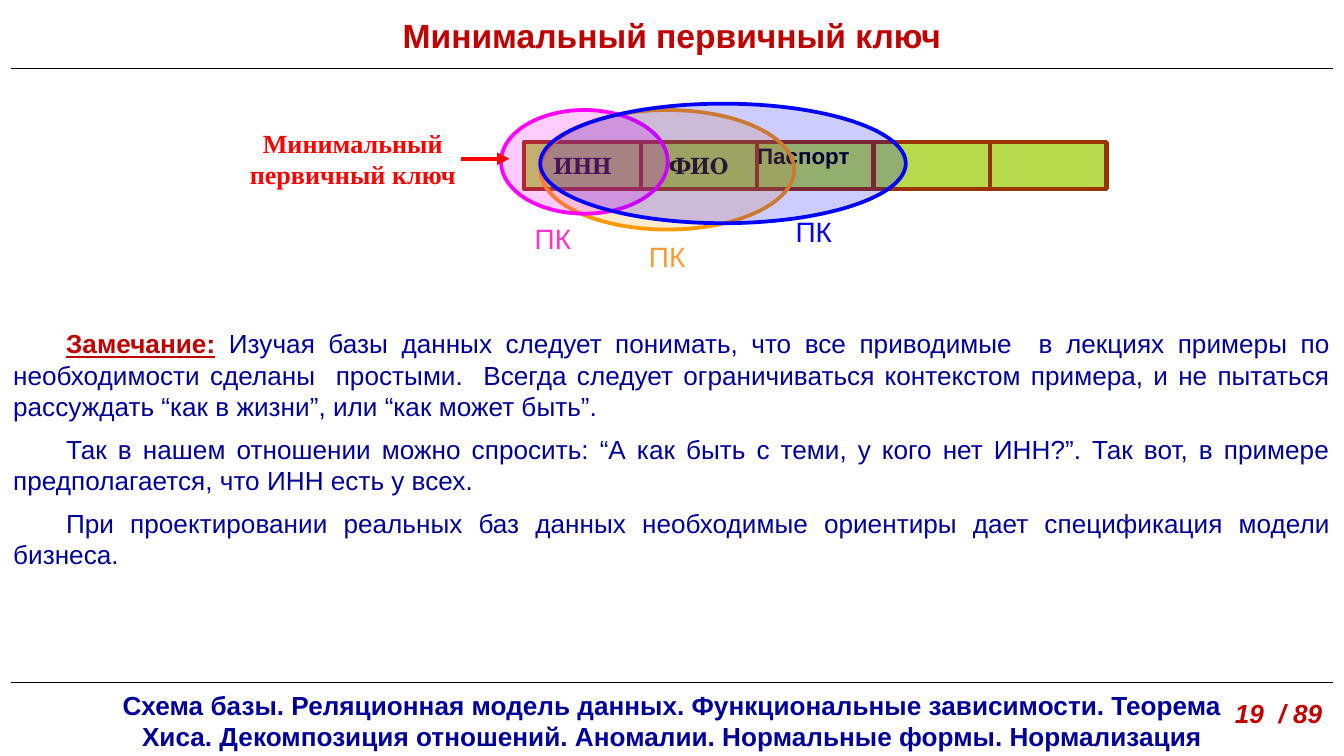
import pptx
import pptx.dml.color
import pptx.enum.shapes
import pptx.enum.text
import pptx.oxml
import pptx.oxml.ns
import pptx.util
from pptx.util import Cm

RGBColor = pptx.dml.color.RGBColor
Align = pptx.enum.text.PP_ALIGN
Anchor = pptx.enum.text.MSO_ANCHOR
Preset = pptx.enum.shapes.MSO_SHAPE

BLACK = RGBColor(0x00, 0x00, 0x00)
NAVY = RGBColor(0x00, 0x00, 0x99)
CRIMSON = RGBColor(0xC0, 0x00, 0x00)
RED = RGBColor(0xFF, 0x00, 0x00)
LIME = RGBColor(0x99, 0xCC, 0x00)
BROWN = RGBColor(0x99, 0x33, 0x00)
ORANGE = RGBColor(0xFF, 0x99, 0x00)
LIGHT_ORANGE = RGBColor(0xFF, 0x99, 0x33)
MAGENTA = RGBColor(0xFF, 0x00, 0xFF)
PINK = RGBColor(0xFF, 0x33, 0xCC)
BLUE = RGBColor(0x00, 0x00, 0xFF)


class SlideBuilder:
    """Draws styled elements on one slide, with lengths in centimetres."""

    def __init__(self, page, font="Arial", size=14):
        self.page = page
        self.font = font
        self.size = size

    def fill_text(self, shape, paragraphs, color, size=None, font=None, bold=False,
                  italic=False, align=Align.LEFT, anchor=Anchor.TOP, inset=True):
        frame = shape.text_frame
        frame.word_wrap = True
        frame.vertical_anchor = anchor
        if not inset:
            frame.margin_left = frame.margin_right = 0
            frame.margin_top = frame.margin_bottom = 0
        for index, words in enumerate(paragraphs):
            para = frame.paragraphs[0] if index == 0 else frame.add_paragraph()
            para.alignment = align
            para.font.name = font or self.font
            para.font.size = pptx.util.Pt(size or self.size)
            para.font.bold = bold
            para.font.italic = italic
            para.font.color.rgb = color
            para.add_run().text = words
        return frame

    def text(self, left, top, width, height, words, color, **style):
        box = self.page.shapes.add_textbox(Cm(left), Cm(top), Cm(width), Cm(height))
        return self.fill_text(box, [words], color, **style)

    def body(self, left, top, width, height, lead, paragraphs):
        box = self.page.shapes.add_textbox(Cm(left), Cm(top), Cm(width), Cm(height))
        frame = self.fill_text(box, paragraphs, NAVY, align=Align.JUSTIFY)
        for para in frame.paragraphs:
            para.space_after = pptx.util.Pt(6)
            para._p.get_or_add_pPr().set("indent", str(int(Cm(1))))
        first = frame.paragraphs[0]
        span = first.runs[0]
        rest = span.text
        span.text = lead
        span.font.bold = span.font.underline = True
        span.font.color.rgb = CRIMSON
        first.add_run().text = " " + rest

    def shape(self, preset, left, top, width, height, fill, opacity, outline, weight):
        shape = self.page.shapes.add_shape(
            preset, Cm(left), Cm(top), Cm(width), Cm(height))
        shape.shadow.inherit = False
        shape.fill.solid()
        shape.fill.fore_color.rgb = fill
        tint = shape._element.spPr.find(".//" + pptx.oxml.ns.qn("a:srgbClr"))
        alpha = pptx.oxml.parse_xml(
            f'<a:alpha {pptx.oxml.ns.nsdecls("a")} val="{opacity * 1000}"/>')
        tint.append(alpha)
        shape.line.color.rgb = outline
        shape.line.width = pptx.util.Pt(weight)
        return shape

    def line(self, x1, y1, x2, y2, color, weight, arrow=False):
        line = self.page.shapes.add_connector(
            pptx.enum.shapes.MSO_CONNECTOR.STRAIGHT, Cm(x1), Cm(y1), Cm(x2), Cm(y2))
        line.line.color.rgb = color
        line.line.width = pptx.util.Pt(weight)
        namespace = pptx.oxml.ns.nsdecls("a")
        if arrow:
            line.line._get_or_add_ln().append(
                pptx.oxml.parse_xml(f'<a:tailEnd {namespace} type="triangle"/>'))
        line._element.spPr.append(pptx.oxml.parse_xml(f"<a:effectLst {namespace}/>"))


def main():
    deck = pptx.Presentation()
    deck.slide_width, deck.slide_height = Cm(25.4), Cm(14.29)
    slide = SlideBuilder(deck.slides.add_slide(deck.slide_layouts[6]))

    slide.text(2, 12.9, 21.41, 1.45,
               "Схема базы. Реляционная модель данных. Функциональные зависимости. "
               "Теорема Хиса. Декомпозиция отношений. Аномалии. Нормальные формы. "
               "Нормализация", NAVY, bold=True, align=Align.CENTER)
    for y in (12.9, 1.3):
        slide.line(0.2, y, 25.2, y, BLACK, 0.75)
    slide.text(23.09, 13.06, 2.59, 0.86, "19  / 89", CRIMSON, bold=True, italic=True)
    slide.text(0, 0.15, 25.4, 1.14, "Минимальный первичный ключ", CRIMSON,
               size=18, bold=True, align=Align.CENTER)

    left, top, width, height = 9.91, 2.69, 2.2, 0.89
    edges = [left + width * column for column in range(6)]
    serif = {"font": "TeX Gyre Schola", "align": Align.CENTER, "anchor": Anchor.MIDDLE}
    attributes = [("ИНН", serif), ("ФИО", serif), ("Паспорт", {}), ("", {}), ("", {})]
    for x, (name, style) in zip(edges, attributes):
        cell = slide.shape(Preset.RECTANGLE, x, top, width, height, LIME, 70, BROWN, 2.25)
        if name:
            slide.fill_text(cell, [name], BLACK, size=12, bold=True, inset=False, **style)
    for y in (top, top + height):
        slide.line(edges[0], y, edges[-1], y, BROWN, 2.25)
    for x in edges:
        slide.line(x, top, x, top + height, BROWN, 2.25)

    for x, y, w, h, color in ((10.21, 2.08, 4.8, 2.26, ORANGE),
                              (9.47, 2.08, 3.15, 1.96, MAGENTA),
                              (10.21, 1.96, 6.91, 2.26, BLUE)):
        slide.shape(Preset.OVAL, x, y, w, h, color, 20, color, 2)
    for x, y, color in ((9.47, 4.19, PINK), (14.4, 4.06, BLUE), (11.63, 4.52, LIGHT_ORANGE)):
        slide.text(x, y, 1.96, 0.64, "ПК", color, size=15, align=Align.CENTER, inset=False)
    slide.line(8.71, 3, 9.63, 3, RED, 2.25, arrow=True)
    slide.text(4.27, 2.41, 4.8, 1.19, "Минимальный первичный ключ", RED,
               font="Times New Roman", bold=True, align=Align.CENTER, inset=False)

    slide.body(0, 6.07, 25.4, 4.88, "Замечание:", [
        "Изучая базы данных следует понимать, что все приводимые  в лекциях примеры "
        "по необходимости сделаны  простыми.  Всегда следует ограничиваться контекстом "
        "примера, и не пытаться рассуждать “как в жизни”, или “как может быть”.",
        "Так в нашем отношении можно спросить: “А как быть с теми, у кого нет ИНН?”. "
        "Так вот, в примере предполагается, что ИНН есть у всех.",
        "При проектировании реальных баз данных необходимые ориентиры дает "
        "спецификация модели бизнеса.",
    ])
    deck.save("out.pptx")


if __name__ == "__main__":
    main()
